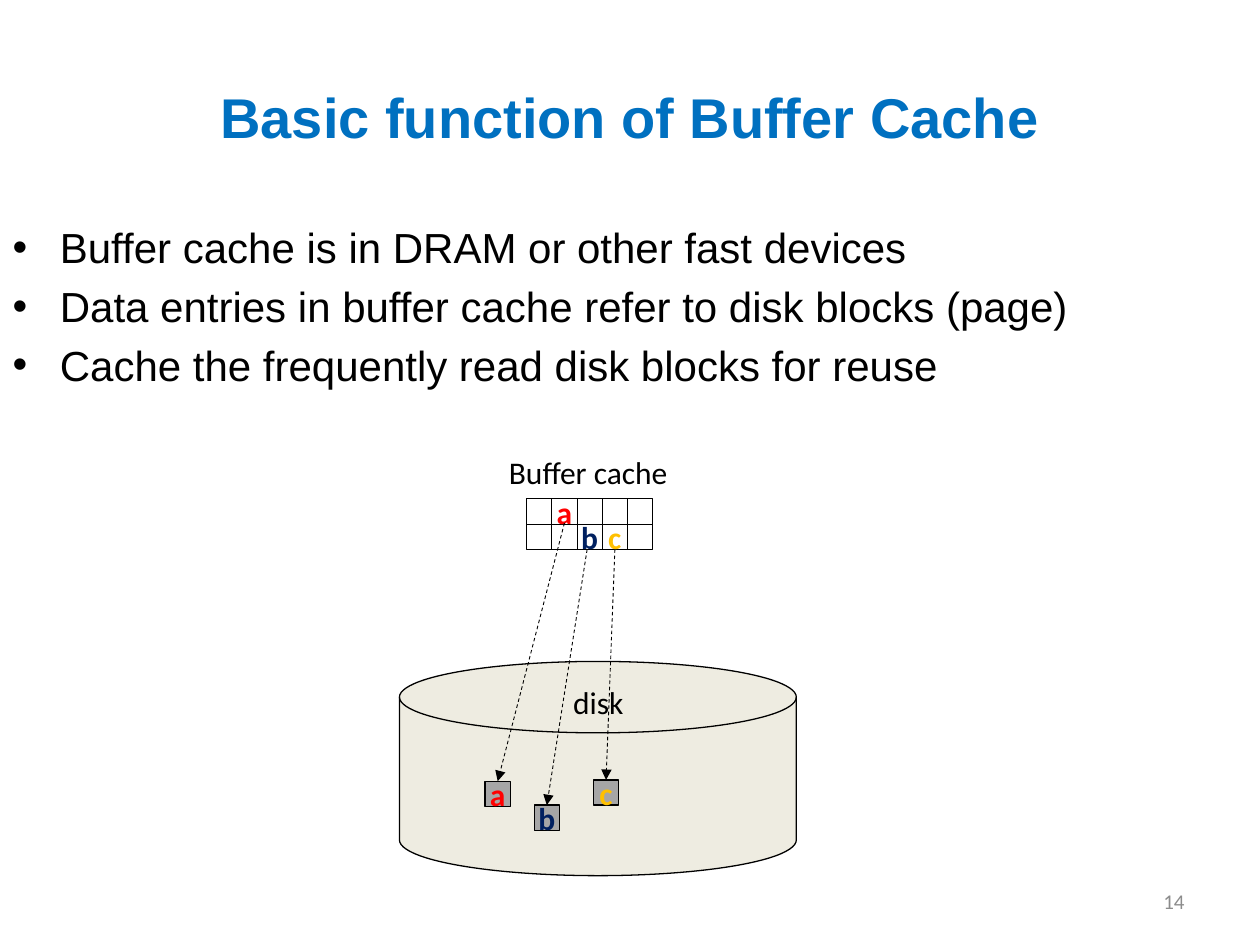
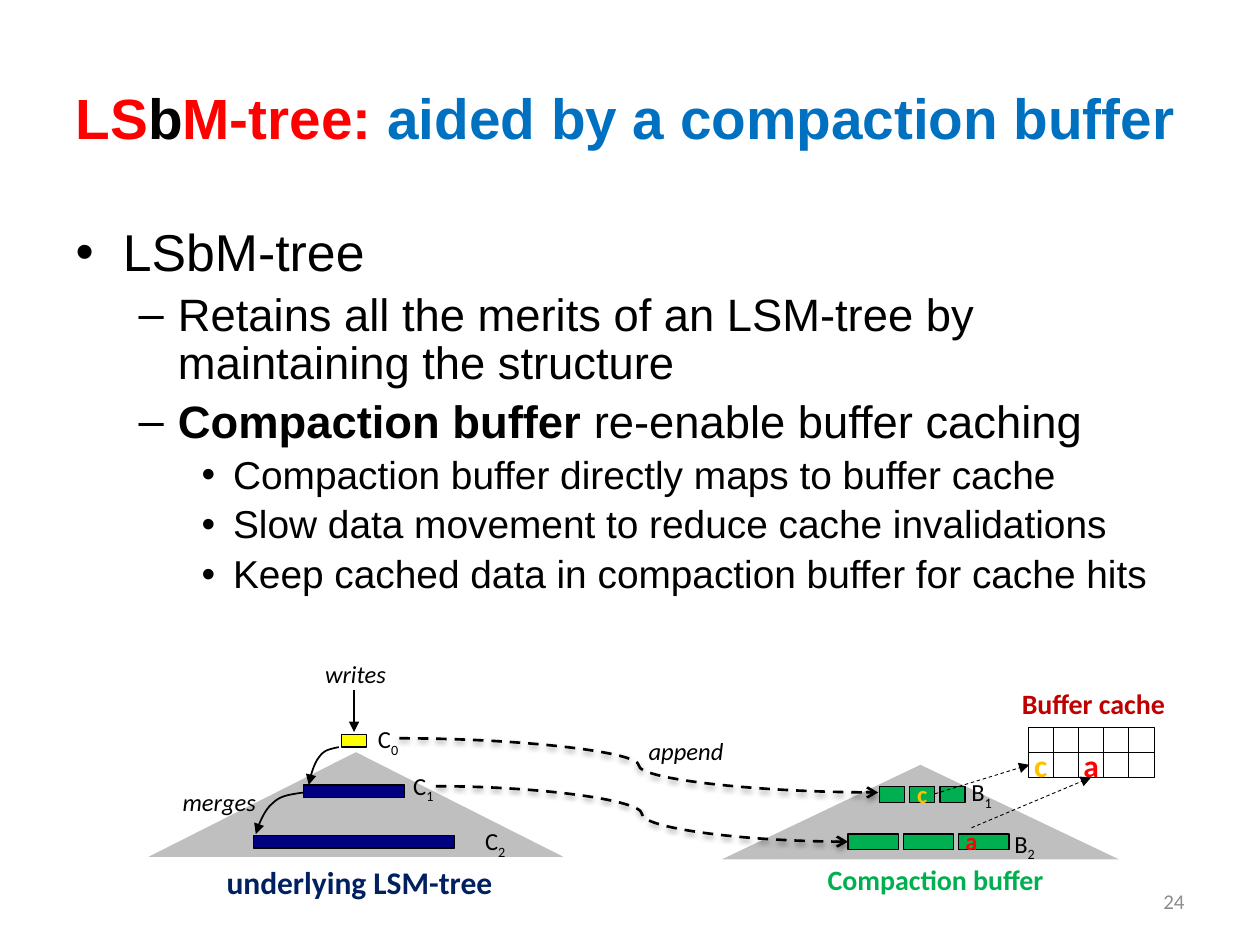
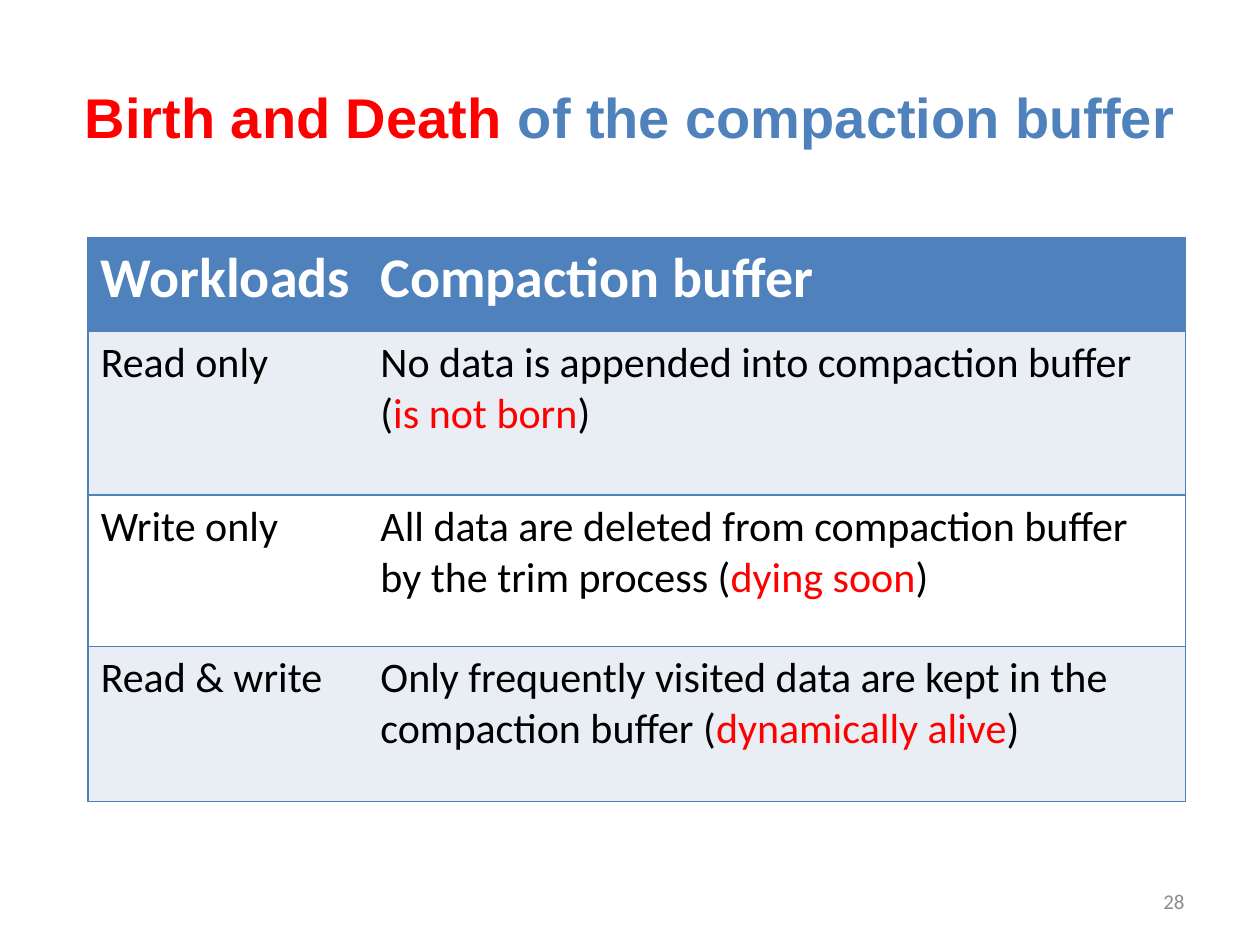
from dataclasses import dataclass

import pptx
import pptx.dml.color
import pptx.enum.dml
import pptx.enum.shapes
import pptx.enum.text
import pptx.oxml
import pptx.oxml.ns
import pptx.util
from lxml import etree

Inches = pptx.util.Inches
Pt = pptx.util.Pt
qn = pptx.oxml.ns.qn
SHAPE = pptx.enum.shapes.MSO_SHAPE
CONNECTOR = pptx.enum.shapes.MSO_CONNECTOR
ALIGN = pptx.enum.text.PP_ALIGN
ANCHOR = pptx.enum.text.MSO_ANCHOR


@dataclass(frozen=True)
class Theme:
    heading_font: str = "Arial"
    text_font: str = "Calibri"
    black: str = "000000"
    white: str = "FFFFFF"
    red: str = "FF0000"
    dark_red: str = "C00000"
    blue: str = "0070C0"
    steel: str = "4F81BD"
    navy: str = "002060"
    level_blue: str = "000080"
    gold: str = "FFC000"
    yellow: str = "FFFF00"
    green: str = "00B050"
    band: str = "E9EDF4"
    disk: str = "EEECE1"
    block: str = "A6A6A6"
    pyramid: str = "BFBFBF"
    muted: str = "8C8C8C"
    title: float = 32
    body: float = 24
    label: float = 18
    caption: float = 16
    small: float = 14
    number: float = 12
    thin: float = 0.5
    outline: float = 0.75
    arrow: float = 1
    thick: float = 1.5


T = Theme()
KEY_COLORS = {"a": T.red, "b": T.navy, "c": T.gold}
CELL = 0.2


def rgb(color):
    return pptx.dml.color.RGBColor.from_string(color)


def inches(*values):
    return [Inches(v) for v in values]


def add_run(p, text, color=T.black, **font):
    r = p.add_run()
    r.text = text
    r.font.color.rgb = rgb(color)
    for name, value in ({"name": T.text_font, "size": Pt(T.label)} | font).items():
        setattr(r.font, name, value)
    return r


def set_frame(tf, inset=None, **formats):
    tf.word_wrap = False
    for name, value in formats.items():
        setattr(tf, name, value)
    if inset is not None:
        for side in ("left", "right", "top", "bottom"):
            setattr(tf, f"margin_{side}", Inches(inset))


def add_label(s, box, text, color=T.black, size=T.label, align=ALIGN.LEFT,
              inset=None, anchor=ANCHOR.TOP, sub="", **font):
    """Text box with one line and an optional subscript."""
    tf = s.shapes.add_textbox(*inches(*box)).text_frame
    set_frame(tf, inset, vertical_anchor=anchor)
    p = tf.paragraphs[0]
    p.alignment = align
    add_run(p, text, color, size=Pt(size), **font)
    if sub:
        r = add_run(p, sub, color, size=Pt(size), **font)
        r.font._element.set("baseline", "-25000")


def add_key(s, x, y, key, size=T.label):
    """Coloured data key centred in one cell."""
    add_label(s, (x, y, CELL, CELL), key, KEY_COLORS[key], size, ALIGN.CENTER,
              inset=0, anchor=ANCHOR.MIDDLE, bold=True)


def add_box(s, box, fill=None, line=T.outline, kind=SHAPE.RECTANGLE):
    sp = s.shapes.add_shape(kind, *inches(*box))
    sp.shadow.inherit = False
    if fill:
        sp.fill.solid()
        sp.fill.fore_color.rgb = rgb(fill)
    else:
        sp.fill.background()
    if line:
        sp.line.color.rgb = rgb(T.black)
        sp.line.width = Pt(line)
    else:
        sp.line.fill.background()
    return sp


def style_line(sp, width, dash=False, head=None):
    sp.line.color.rgb = rgb(T.black)
    sp.line.width = Pt(width)
    if dash:
        sp.line.dash_style = pptx.enum.dml.MSO_LINE.DASH
    if head:
        ln = sp.element.spPr.find(qn("a:ln"))
        etree.SubElement(ln, qn("a:tailEnd"), type=head)


def add_line(s, start, end, width=T.thin, kind=CONNECTOR.STRAIGHT, **style):
    c = s.shapes.add_connector(kind, *inches(*start, *end))
    style_line(c, width, **style)
    return etree.SubElement(c.element.spPr, qn("a:effectLst"))


def add_append_arrow(s, start, end):
    """Dashed curved arrow with a soft shadow below it."""
    effects = add_line(s, start, end, T.thick, CONNECTOR.CURVE, dash=True, head="arrow")
    shadow = etree.SubElement(effects, qn("a:outerShdw"), blurRad=str(Pt(3.1)),
                              dist=str(Pt(1.6)), dir="5400000", rotWithShape="0")
    color = etree.SubElement(shadow, qn("a:srgbClr"), val=T.black)
    etree.SubElement(color, qn("a:alpha"), val="38000")


def add_merge_arrow(s, x, y, w, h):
    """Arc from the top right of its box down to the bottom left."""
    curves = [((1, 0), (0.63, 0.06), (0.5, 0.09), (0.34, 0.27)),
              ((0.34, 0.27), (0.18, 0.42), (0.05, 0.79), (0, 1))]
    steps = 8
    points = []
    for curve in curves:
        for i in range(1, steps + 1):
            t = i / steps
            weights = ((1 - t) ** 3, 3 * t * (1 - t) ** 2, 3 * t * t * (1 - t), t ** 3)
            u, v = (sum(k * q[axis] for k, q in zip(weights, curve)) for axis in (0, 1))
            points.append((Inches(x + u * w), Inches(y + v * h)))
    builder = s.shapes.build_freeform(Inches(x + w), Inches(y))
    builder.add_line_segments(points, close=False)
    sp = builder.convert_to_shape()
    sp.shadow.inherit = False
    sp.fill.background()
    style_line(sp, T.arrow, head="triangle")


def new_slide(prs, layout, title, number, box=(0.5, 0.3, 9, 1.25),
              size=T.title, align=ALIGN.CENTER):
    s = prs.slides.add_slide(prs.slide_layouts[layout])
    place(s.shapes.title, box)
    p = s.shapes.title.text_frame.paragraphs[0]
    p.alignment = align
    for text, color in title:
        add_run(p, text, color, name=T.heading_font, size=Pt(size), bold=True)
    add_label(s, (7.17, 6.95, 2.33, 0.4), number, T.muted, T.number,
              ALIGN.RIGHT, anchor=ANCHOR.MIDDLE)
    return s


def place(sp, box):
    for name, value in zip(("left", "top", "width", "height"), inches(*box)):
        setattr(sp, name, value)
    sp.text_frame.auto_size = pptx.enum.text.MSO_AUTO_SIZE.NONE


def fill_body(s, box, items, sizes, spacing=None):
    """Items are (level, bold lead, text)."""
    body = s.placeholders[1]
    place(body, box)
    tf = body.text_frame
    for i, (level, lead, text) in enumerate(items):
        p = tf.add_paragraph() if i else tf.paragraphs[0]
        p.level = level
        if spacing:
            p.line_spacing = spacing
        if not i:
            p.space_before = Pt(0)
        font = {"name": T.heading_font, "size": Pt(sizes[level])}
        if lead:
            add_run(p, lead, bold=True, **font)
        add_run(p, text, **font)


def add_cache_grid(s, x, y, keys):
    """Buffer cache of 5 by 2 cells; keys are (letter, column, row)."""
    cols, rows = 5, 2
    w, h = cols * CELL, rows * CELL
    add_box(s, (x, y, w, h), line=T.thin)
    for row in range(1, rows):
        add_line(s, (x, y + row * CELL), (x + w, y + row * CELL))
    for col in range(1, cols):
        add_line(s, (x + col * CELL, y), (x + col * CELL, y + h))
    for key, col, row in keys:
        add_key(s, x + col * CELL, y + row * CELL, key)


def add_disk(s, x, y, w, h):
    add_box(s, (x, y, w, h), T.disk, kind=SHAPE.FLOWCHART_MAGNETIC_DISK)
    add_label(s, (x + 1.28, y + 0.12, 0.61, 0.4), "disk")
    for key, dx, dy in (("a", 0.68, 0.95), ("c", 1.54, 0.94), ("b", 1.07, 1.14)):
        sp = add_box(s, (x + dx, y + dy, CELL, CELL), T.block)
        set_frame(sp.text_frame, vertical_anchor=ANCHOR.MIDDLE)
        p = sp.text_frame.paragraphs[0]
        p.alignment = ALIGN.CENTER
        add_run(p, key, KEY_COLORS[key], bold=True)


def add_lsm_tree(s, x, y):
    add_box(s, (x, y + 0.74, 3.29, 0.83), T.pyramid, None, SHAPE.ISOSCELES_TRIANGLE)
    center = x + 1.63
    levels = [(0.2, T.yellow, 1.82, 0.52), (0.8, T.level_blue, 2.1, 0.89),
              (1.6, T.level_blue, 2.67, 1.33)]
    for i, (w, fill, label_x, label_y) in enumerate(levels):
        add_box(s, (center - w / 2, y + 0.6 + 0.4 * i, w, 0.1), fill)
        add_label(s, (x + label_x, y + label_y, 0.17, 0.24), "C", size=T.small,
                  inset=0, sub=str(i))
    add_label(s, (x + 1.4, y, 0.49, 0.24), "writes", size=T.small, inset=0, italic=True)
    add_line(s, (center, y + 0.25), (center, y + 0.58), T.arrow, head="triangle")
    add_label(s, (x + 0.17, y + 0.97, 0.79, 0.34), "merges", size=T.small, italic=True)
    add_merge_arrow(s, x + 0.85, y + 1.06, 0.38, 0.33)
    add_merge_arrow(s, x + 1.27, y + 0.7, 0.24, 0.3)
    add_label(s, (x + 0.52, y + 1.57, 2.33, 0.4), "underlying LSM-tree", T.navy, bold=True)


def add_compaction_buffer(s, x, y):
    add_box(s, (x, y, 3.15, 0.75), T.pyramid, None, SHAPE.ISOSCELES_TRIANGLE)
    rows = [(1.25, 0.17, 0.2, 0.13, 0.24, 1.98, 0.1),
            (1, 0.55, 0.4, 0.12, 0.44, 2.32, 0.51)]
    for i, (dx, dy, w, h, pitch, label_x, label_y) in enumerate(rows, 1):
        for col in range(3):
            add_box(s, (x + dx + col * pitch, y + dy, w, h), T.green)
        add_label(s, (x + label_x, y + label_y, 0.17, 0.24), "B", size=T.small,
                  inset=0, sub=str(i))
    add_key(s, x + 1.49, y + 0.13, "c", T.small)
    add_key(s, x + 1.88, y + 0.5, "a", T.small)
    add_label(s, (x + 0.74, y + 0.73, 1.95, 0.37), "Compaction buffer", T.green,
              T.caption, bold=True)


def set_borders(cell, sides):
    """Blue rules on the given sides, none on the others."""
    tcPr = cell._tc.get_or_add_tcPr()
    for i, side in enumerate("LRTB"):
        ln = etree.Element(qn(f"a:ln{side}"), w=str(Pt(1)))
        if side in sides:
            fill = etree.SubElement(ln, qn("a:solidFill"))
            etree.SubElement(fill, qn("a:srgbClr"), val=T.steel)
        else:
            etree.SubElement(ln, qn("a:noFill"))
        tcPr.insert(i, ln)


def add_workload_table(s, box, rows, widths, heights):
    """Each row is a workload followed by the runs of its description."""
    table = s.shapes.add_table(len(rows), len(widths), *inches(*box)).table
    for col, w in zip(table.columns, widths):
        col.width = Inches(w)
    for i, (workload, *runs) in enumerate(rows):
        table.rows[i].height = Inches(heights[i])
        header = i == 0
        fill = T.steel if header else T.band if i % 2 else T.white
        font = {"size": Pt(T.title if header else T.body), "bold": header}
        plain = T.white if header else T.black
        for j, texts in enumerate(([workload], runs)):
            cell = table.cell(i, j)
            cell.fill.solid()
            cell.fill.fore_color.rgb = rgb(fill)
            set_borders(cell, "RTB" if j else "LTB")
            for k, text in enumerate(texts):
                add_run(cell.text_frame.paragraphs[0], text,
                        T.red if k == 1 else plain, **font)


def cache_slide(prs):
    s = new_slide(prs, 1, [("Basic function of Buffer Cache", T.blue)], "14",
                  box=(0, 0.3, 10, 1.25))
    fill_body(s, (0, 1.71, 10, 2), [
        (0, "", "Buffer cache is in DRAM or other fast devices"),
        (0, "", "Data entries in buffer cache refer to disk blocks (page)"),
        (0, "", "Cache the frequently read disk blocks for reuse"),
    ], [T.body])
    add_disk(s, 3.17, 5.25, 3.15, 1.7)
    add_label(s, (3.94, 3.55, 1.48, 0.4), "Buffer cache")
    add_cache_grid(s, 4.18, 3.96, [("a", 1, 0), ("b", 2, 1), ("c", 3, 1)])
    for start, end in (((4.66, 4.36), (4.34, 6.39)), ((4.88, 4.36), (4.81, 6.19)),
                       ((4.48, 4.15), (3.95, 6.2))):
        add_line(s, start, end, dash=True, head="triangle")


def lsbm_slide(prs):
    s = new_slide(prs, 1, [("LS", T.red), ("b", T.black), ("M-tree: ", T.red),
                           ("aided by a compaction buffer", T.blue)], "24",
                  size=32.4, align=ALIGN.LEFT)
    fill_body(s, (0.5, 1.75, 9, 3.27), [
        (0, "", "LSbM-tree"),
        (1, "", "Retains all the merits of an LSM-tree by maintaining the structure"),
        (1, "Compaction buffer ", "re-enable buffer caching"),
        (2, "", "Compaction buffer directly maps to buffer cache"),
        (2, "", "Slow data movement to reduce cache invalidations"),
        (2, "", "Keep cached data in compaction buffer for cache hits"),
    ], [29.6, 25.9, 22.2], spacing=0.9)
    add_lsm_tree(s, 1.18, 5.23)
    add_compaction_buffer(s, 5.73, 6.07)
    add_append_arrow(s, (3.17, 5.86), (6.97, 6.29))
    add_append_arrow(s, (3.46, 6.24), (6.73, 6.68))
    add_label(s, (5.05, 5.79, 0.8, 0.34), "append", size=T.small, italic=True)
    add_label(s, (8.11, 5.45, 1.16, 0.27), "Buffer cache", T.dark_red, T.caption,
              inset=0, bold=True)
    add_cache_grid(s, 8.16, 5.77, [("c", 0, 1), ("a", 2, 1)])
    add_line(s, (7.42, 6.3), (8.17, 6.07), dash=True, head="triangle")
    add_line(s, (7.71, 6.57), (8.66, 6.17), dash=True, head="triangle")


def workload_slide(prs):
    s = new_slide(prs, 5, [("Birth and Death ", T.red),
                           ("of the compaction buffer", T.steel)], "28")
    add_workload_table(s, (0.7, 1.89, 8.71, 4.46), [
        ("Workloads", "Compaction buffer"),
        ("Read only", "No data is appended into compaction buffer (",
         "is not born", ")"),
        ("Write only", "All data are deleted from compaction buffer by the trim process (",
         "dying soon", ")"),
        ("Read & write", "Only frequently visited data are kept in the compaction buffer (",
         "dynamically alive", ")"),
    ], widths=[2.22, 6.49], heights=[0.74, 1.3, 1.2, 1.23])


def main():
    prs = pptx.Presentation()
    prs.slide_width, prs.slide_height = inches(10, 7.5)
    cache_slide(prs)
    lsbm_slide(prs)
    workload_slide(prs)
    prs.save("out.pptx")


if __name__ == "__main__":
    main()
